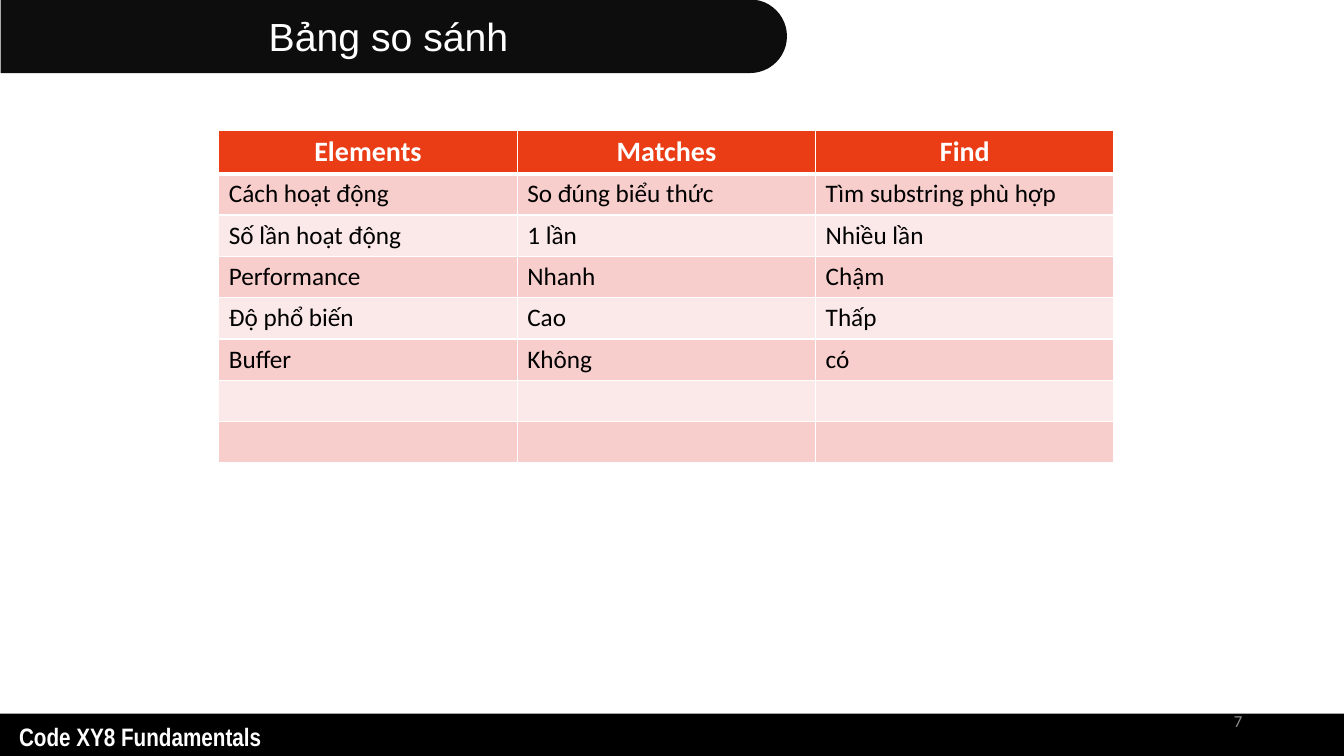
from dataclasses import dataclass

import pptx
import pptx.dml.color
import pptx.enum.shapes
import pptx.enum.text
import pptx.oxml
import pptx.oxml.ns
import pptx.util

EMU_PER_PX = 9144  # 100 px to the inch
ALIGN = pptx.enum.text.PP_ALIGN
ANCHOR = pptx.enum.text.MSO_ANCHOR
SHAPE = pptx.enum.shapes.MSO_SHAPE

BLACK, WHITE = "000000", "FFFFFF"
HEADER_FILL = "EA3D15"
BAND_FILLS = ("F7CECC", "FBE8E8")
ROWS = [
    ("Elements", "Matches", "Find"),
    ("Cách hoạt động", "So đúng biểu thức", "Tìm substring phù hợp"),
    ("Số lần hoạt động", "1 lần", "Nhiều lần"),
    ("Performance", "Nhanh", "Chậm"),
    ("Độ phổ biến", "Cao", "Thấp"),
    ("Buffer", "Không", "có"),
    ("", "", ""),
    ("", "", ""),
]


@dataclass(frozen=True)
class Box:
    x: int
    y: int
    w: int
    h: int

    def emu(self) -> tuple[int, ...]:
        return tuple(v * EMU_PER_PX for v in (self.x, self.y, self.w, self.h))


@dataclass(frozen=True)
class TextStyle:
    font: str
    size: int
    color: str
    bold: bool = False
    align: ALIGN = ALIGN.LEFT


HEADER_STYLE = TextStyle("Calibri", 20, WHITE, True, ALIGN.CENTER)
BODY_STYLE = TextStyle("Calibri", 18, BLACK)
TITLE_STYLE = TextStyle("Arial", 28, WHITE, align=ALIGN.CENTER)
COURSE_STYLE = TextStyle("Arial Narrow", 18, WHITE, True)
NUMBER_STYLE = TextStyle("Calibri", 12, "8C8C8C", align=ALIGN.RIGHT)


def rgb(color: str) -> pptx.dml.color.RGBColor:
    return pptx.dml.color.RGBColor.from_string(color)


def write(tf, text: str, style: TextStyle, anchor: ANCHOR = ANCHOR.TOP) -> None:
    tf.text = text
    tf.word_wrap = True
    tf.vertical_anchor = anchor
    p = tf.paragraphs[0]
    p.alignment = style.align
    for font in [p.font] + [r.font for r in p.runs]:
        font.name = style.font
        font.size = pptx.util.Pt(style.size)
        font.bold = style.bold
        font.color.rgb = rgb(style.color)


def add_block(s, kind: SHAPE, box: Box, fill: str):
    sp = s.shapes.add_shape(kind, *box.emu())
    sp.shadow.inherit = False
    sp.fill.solid()
    sp.fill.fore_color.rgb = rgb(fill)
    sp.line.fill.background()
    return sp


def set_borders(cell, **widths: int) -> None:
    tcPr = cell._tc.get_or_add_tcPr()
    for side in "LRTB":
        width = pptx.util.Pt(widths.get(side, 1))
        tcPr.append(pptx.oxml.parse_xml(
            f'<a:ln{side} {pptx.oxml.ns.nsdecls("a")} w="{width}"><a:solidFill>'
            f'<a:srgbClr val="{WHITE}"/></a:solidFill></a:ln{side}>'))


def add_comparison(s, box: Box) -> None:
    table = s.shapes.add_table(len(ROWS), len(ROWS[0]), *box.emu()).table
    table.horz_banding = False
    for i, texts in enumerate(ROWS):
        fill = BAND_FILLS[(i - 1) % 2] if i else HEADER_FILL
        for j, text in enumerate(texts):
            cell = table.cell(i, j)
            # Thick rule between the header and the body
            set_borders(cell, T=3 if i == 1 else 1, B=1 if i else 3)
            cell.fill.solid()
            cell.fill.fore_color.rgb = rgb(fill)
            write(cell.text_frame, text, BODY_STYLE if i else HEADER_STYLE)


def main() -> None:
    prs = pptx.Presentation()
    prs.slide_width, prs.slide_height = Box(0, 0, 1333, 750).emu()[2:]
    s = prs.slides.add_slide(prs.slide_layouts[6])

    # Footer
    add_block(s, SHAPE.RECTANGLE, Box(0, 708, 1333, 46), BLACK)
    sp = add_block(s, SHAPE.RECTANGLE, Box(9, 711, 328, 40), BLACK)
    write(sp.text_frame, "Code XY8 Fundamentals", COURSE_STYLE)
    sp = s.shapes.add_textbox(*Box(942, 695, 300, 40).emu())
    write(sp.text_frame, "7", NUMBER_STYLE, ANCHOR.MIDDLE)

    # Title tab: turned a quarter, with its text turned back
    sp = add_block(s, SHAPE.ROUND_2_SAME_RECTANGLE, Box(354, -354, 73, 780), "0D0D0D")
    sp.rotation = 90
    sp.adjustments[0] = 0.5
    write(sp.text_frame, "Bảng so sánh", TITLE_STYLE, ANCHOR.MIDDLE)
    sp.element.txBody.bodyPr.set("vert", "vert270")

    # Comparison table
    add_comparison(s, Box(217, 129, 888, 328))

    prs.save("out.pptx")


if __name__ == "__main__":
    main()
